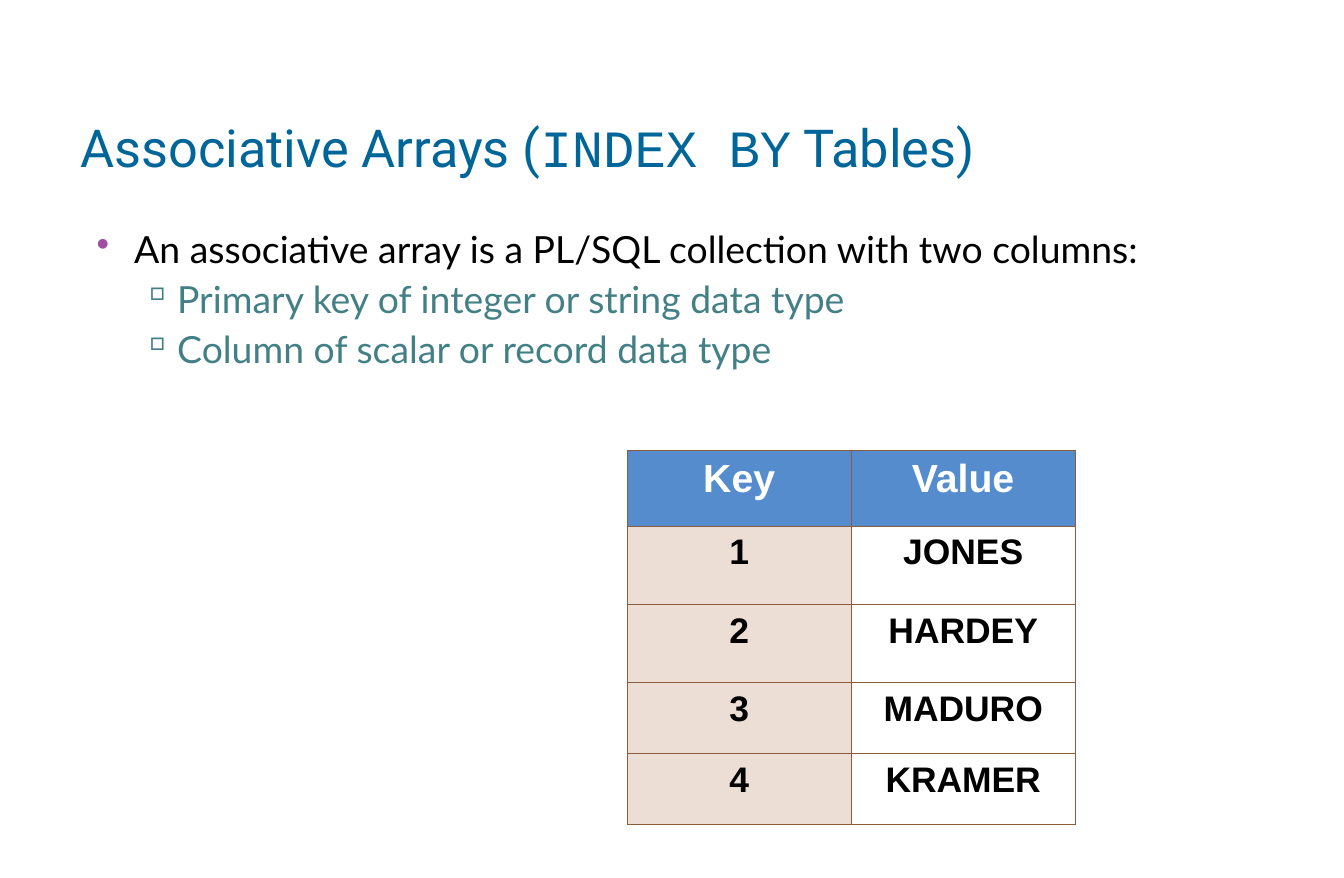
import pptx
import pptx.util
import pptx.dml.color
import pptx.enum.text
import pptx.oxml
import pptx.oxml.ns

Pt = pptx.util.Pt
ALIGN = pptx.enum.text.PP_ALIGN
ANCHOR = pptx.enum.text.MSO_ANCHOR

TITLE = [("Associative Arrays (", "Roboto"), ("INDEX BY", "Courier New"),
         (" Tables)", "Roboto")]
# level, text
POINTS = [
    (0, "An associative array is a PL/SQL collection with two columns:"),
    (1, "Primary key of integer or string data type"),
    (1, "Column of scalar or record data type"),
]
# left margin, hanging indent, bullet, bullet colour, text colour
LEVELS = [(28.8, 20.16, "•", "A04DA3", "000000"),
          (51.84, 19.44, "▫", "438086", "438086")]
ROWS = [("Key", "Value"), ("1", "JONES"), ("2", "HARDEY"),
        ("3", "MADURO"), ("4", "KRAMER")]
HEIGHTS = [40.5, 42, 42, 38, 38]
COLUMN = 120
BORDER = "8B5D3D"


def color(text):
    return pptx.dml.color.RGBColor.from_string(text)


def style(para, size, tone, face=None, bold=None):
    font = para.font
    font.size, font.bold = Pt(size), bold
    font.color.rgb = color(tone)
    if face:
        font.name = face


def add_xml(parent, body):
    space = pptx.oxml.ns.nsdecls("a")
    parent.append(pptx.oxml.parse_xml(body.replace(" ", f" {space} ", 1)))


def add_box(slide, top, height, anchor):
    box = slide.shapes.add_textbox(Pt(36), Pt(top), Pt(648), Pt(height))
    frame = box.text_frame
    frame.word_wrap = True
    frame.vertical_anchor = anchor
    return frame


def add_title(slide):
    para = add_box(slide, 41.75, 73.5, ANCHOR.MIDDLE).paragraphs[0]
    for text, face in TITLE:
        run = para.add_run()
        run.text = text
        run.font.name = face
    style(para, 28, "006699")


def add_points(slide):
    frame = add_box(slide, 117.36, 117.36, ANCHOR.TOP)
    for i, (level, text) in enumerate(POINTS):
        para = frame.add_paragraph() if i else frame.paragraphs[0]
        left, hang, mark, dot, tone = LEVELS[level]
        para.text, para.level = text, level
        if i:
            para.space_before = Pt(3)
        props = para._p.get_or_add_pPr()
        props.set("marL", str(Pt(left)))
        props.set("indent", str(-Pt(hang)))
        add_xml(props, f'<a:buClr ><a:srgbClr val="{dot}"/></a:buClr>')
        add_xml(props, f'<a:buChar char="{mark}"/>')
        style(para, 20, tone, "Lato")


def add_borders(cell):
    props = cell._tc.get_or_add_tcPr()
    for side in "LRTB":
        add_xml(props, f'<a:ln{side} w="{Pt(0.45)}"><a:solidFill>'
                f'<a:srgbClr val="{BORDER}"/></a:solidFill></a:ln{side}>')


def add_grid(slide):
    table = slide.shapes.add_table(
        len(ROWS), 2, Pt(336), Pt(241.2), Pt(2 * COLUMN), Pt(sum(HEIGHTS))).table
    for column in table.columns:
        column.width = Pt(COLUMN)
    for r, (row, height) in enumerate(zip(ROWS, HEIGHTS)):
        table.rows[r].height = Pt(height)
        for c, text in enumerate(row):
            cell = table.cell(r, c)
            add_borders(cell)
            cell.margin_left = cell.margin_right = Pt(8)
            cell.margin_top = cell.margin_bottom = Pt(3.6)
            if r and c:
                cell.fill.background()
            else:
                cell.fill.solid()
                cell.fill.fore_color.rgb = color("ECDED4" if r else "558CCD")
            cell.text = text
            para = cell.text_frame.paragraphs[0]
            para.alignment = ALIGN.CENTER
            size, tone = (19, "000000") if r else (21, "FFFFFF")
            style(para, size, tone, "Arial", True)


def main():
    deck = pptx.Presentation()
    deck.slide_width, deck.slide_height = Pt(720), Pt(470.16)
    slide = deck.slides.add_slide(deck.slide_layouts[6])
    add_title(slide)
    add_points(slide)
    add_grid(slide)
    deck.save("out.pptx")


if __name__ == "__main__":
    main()
